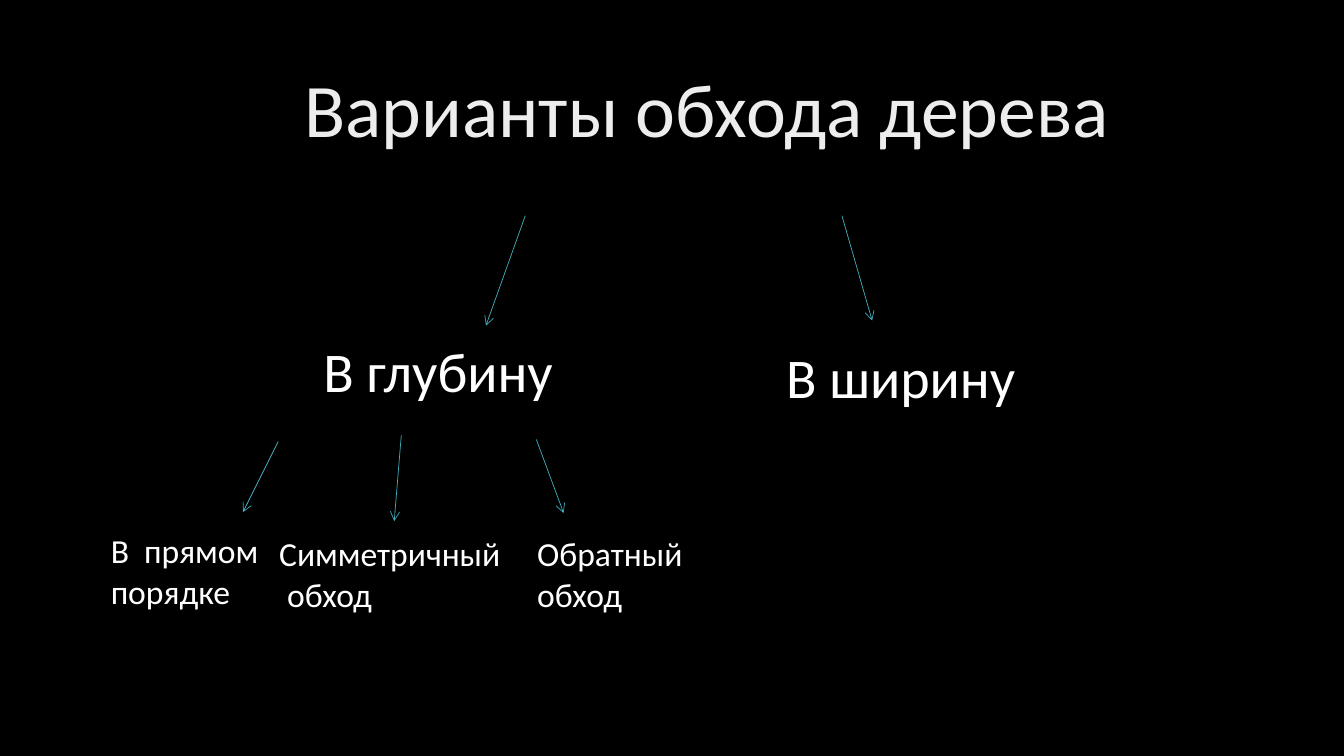
from dataclasses import dataclass

from lxml.etree import SubElement
from pptx import Presentation
from pptx.dml.color import RGBColor
from pptx.enum.shapes import MSO_CONNECTOR
from pptx.enum.text import MSO_ANCHOR, PP_ALIGN
from pptx.oxml.ns import qn
from pptx.slide import Slide
from pptx.text.text import _Paragraph
from pptx.util import Inches, Pt

COLORS = {"background": "000000", "title": "EDEDED", "text": "FFFFFF", "arrow": "41AEBD"}
FONT = "Calibri"


@dataclass
class Label:
    lines: tuple[str, ...]
    left: float
    top: float
    width: float
    height: float
    size: int
    next_indent: float = 0


@dataclass
class Arrow:
    x1: float
    y1: float
    x2: float
    y2: float


LABELS = [
    Label(("В глубину",), 3.11, 3.29, 3.33, 0.77, 40),
    Label(("В ширину",), 7.7, 3.35, 2.64, 0.77, 40),
    Label(("В  прямом порядке",), 1, 5.21, 1.85, 0.91, 24),
    Label(("Симметричный", "обход"), 2.67, 5.24, 2.43, 0.91, 24, 0.08),
    Label(("Обратный обход",), 5.23, 5.24, 2.44, 0.91, 24),
]

ARROWS = [
    Arrow(5.21, 2.14, 4.82, 3.23),
    Arrow(8.35, 2.14, 8.65, 3.18),
    Arrow(2.76, 4.38, 2.41, 5.08),
    Arrow(3.98, 4.32, 3.91, 5.17),
    Arrow(5.32, 4.36, 5.59, 5.09),
]


def set_font(p: _Paragraph, size: int, color: str) -> None:
    p.alignment = PP_ALIGN.LEFT
    p.font.name = FONT
    p.font.size = Pt(size)
    p.font.color.rgb = RGBColor.from_string(COLORS[color])


def format_title(s: Slide, text: str) -> None:
    sp = s.shapes.title
    sp.left, sp.top = Inches(0.92), Inches(0.4)
    sp.width, sp.height = Inches(11.5), Inches(1.45)
    tf = sp.text_frame
    tf.text = text
    tf.margin_left = Inches(2.1)
    tf.vertical_anchor = MSO_ANCHOR.MIDDLE
    p = tf.paragraphs[0]
    p.line_spacing = 0.9
    set_font(p, 54, "title")


def draw_label(s: Slide, label: Label) -> None:
    sp = s.shapes.add_textbox(
        Inches(label.left), Inches(label.top), Inches(label.width), Inches(label.height)
    )
    tf = sp.text_frame
    tf.word_wrap = True
    tf.text = "\n".join(label.lines)
    for i, p in enumerate(tf.paragraphs):
        if i and label.next_indent:
            p._p.get_or_add_pPr().set("marL", str(Inches(label.next_indent)))
        set_font(p, label.size, "text")


def draw_arrow(s: Slide, arrow: Arrow) -> None:
    sp = s.shapes.add_connector(
        MSO_CONNECTOR.STRAIGHT,
        Inches(arrow.x1), Inches(arrow.y1), Inches(arrow.x2), Inches(arrow.y2),
    )
    sp.line.color.rgb = RGBColor.from_string(COLORS["arrow"])
    sp.line.width = Pt(0.5)
    SubElement(sp.line._get_or_add_ln(), qn("a:tailEnd"), type="arrow")
    SubElement(sp._element.spPr, qn("a:effectLst"))


def main() -> None:
    prs = Presentation()
    prs.slide_width, prs.slide_height = Inches(13.33), Inches(7.5)
    s = prs.slides.add_slide(prs.slide_layouts[5])
    s.background.fill.solid()
    s.background.fill.fore_color.rgb = RGBColor.from_string(COLORS["background"])
    format_title(s, "Варианты обхода дерева")
    for arrow in ARROWS:
        draw_arrow(s, arrow)
    for label in LABELS:
        draw_label(s, label)
    prs.save("out.pptx")


if __name__ == "__main__":
    main()
